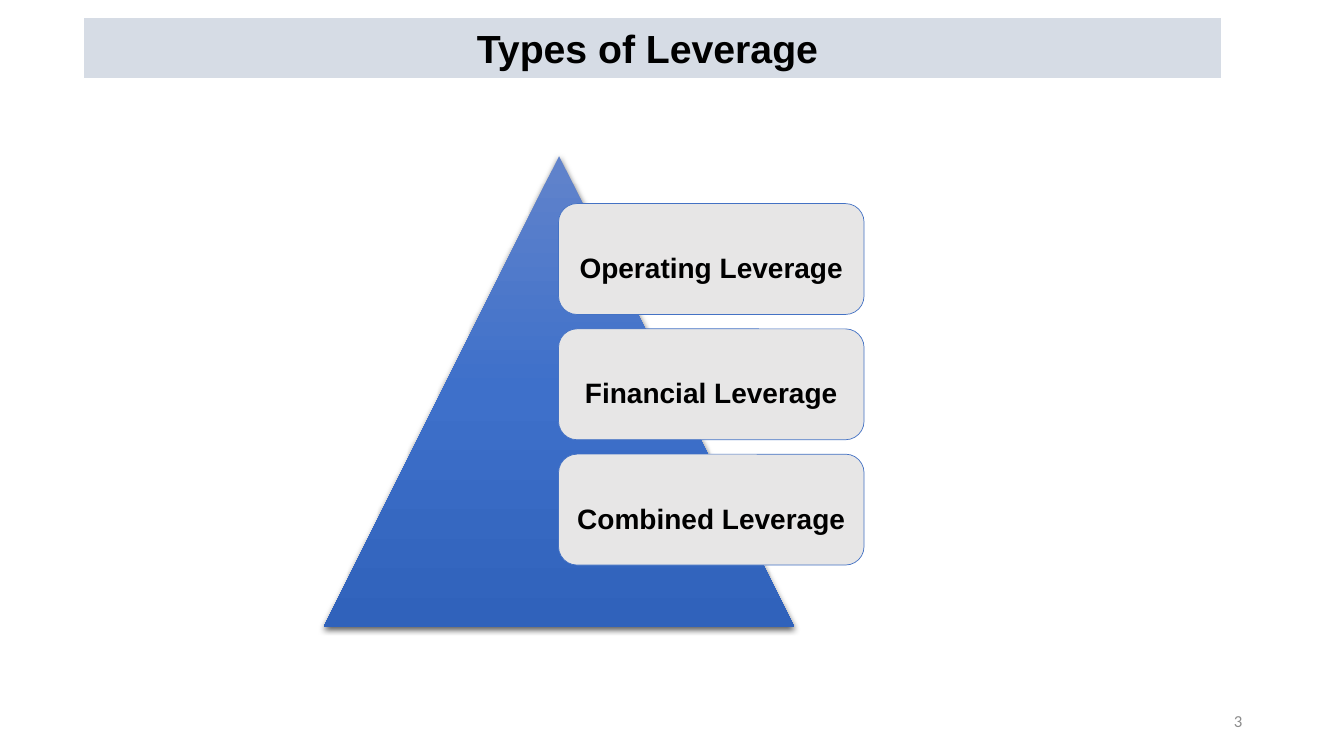
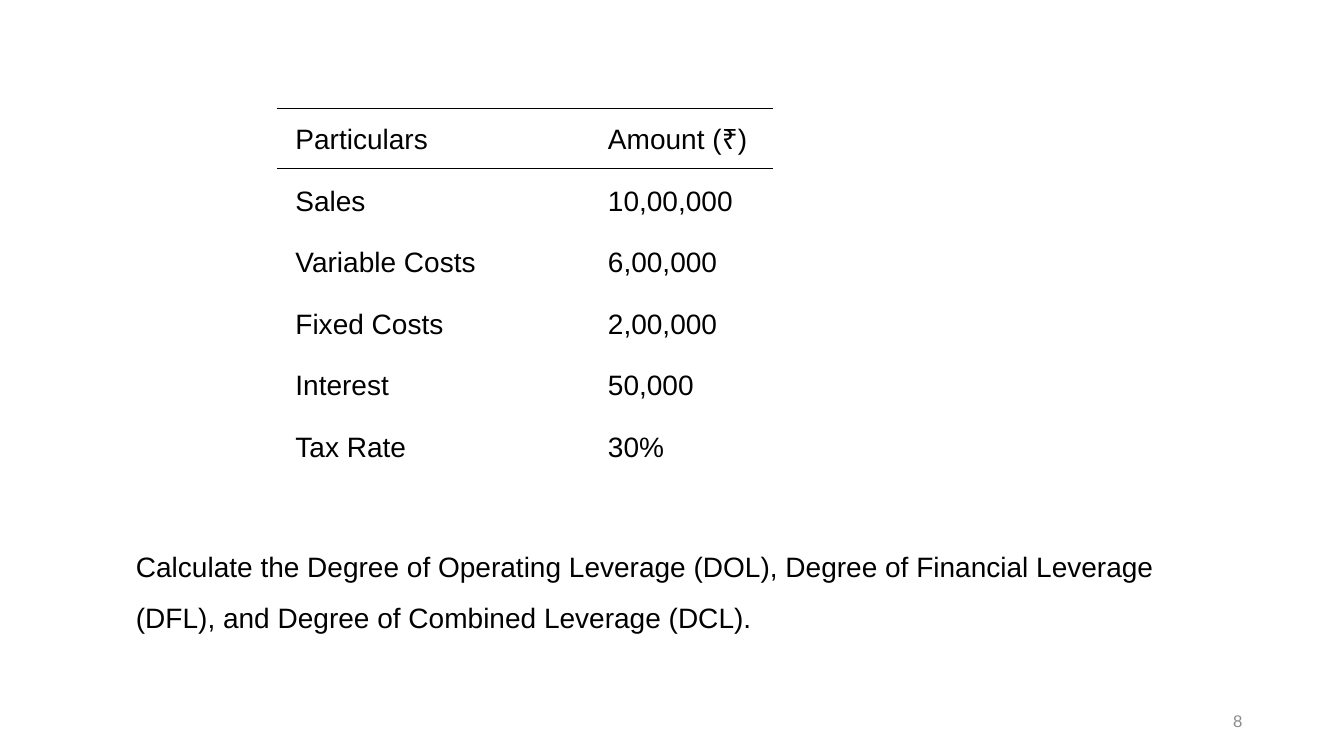
from lxml import etree
from pptx import Presentation
from pptx.dml.color import RGBColor
from pptx.enum import shapes, text
from pptx.oxml import parse_xml
from pptx.oxml.ns import nsdecls, qn
from pptx.util import Inches, Pt

BLACK, WHITE, GREY = "000000", "FFFFFF", "8C8C8C"
BAND, CARD, BLUE = "D6DCE5", "E7E6E6", "4472C4"
LEFT, MID, RIGHT = text.PP_ALIGN.LEFT, text.PP_ALIGN.CENTER, text.PP_ALIGN.RIGHT
MIDDLE = text.MSO_ANCHOR.MIDDLE
SHAPE = shapes.MSO_SHAPE


def rgb(code):
    return RGBColor.from_string(code)


def write(frame, words, size=20, color=BLACK, align=LEFT, spacing=None, bold=False, name="Arial"):
    frame.word_wrap = True
    par = frame.paragraphs[0]
    par.alignment, par.line_spacing = align, spacing
    run = par.add_run()
    run.text = words
    look = {"name": name, "size": Pt(size), "bold": bold}
    for key, value in look.items():
        setattr(run.font, key, value)
    run.font.color.rgb = rgb(color)


deck = Presentation()
deck.slide_width, deck.slide_height = Inches(13.33), Inches(7.5)

# Both slides carry a page number at the lower right
pages = []
for number, font in (("3", "Calibri"), ("8", "Arial")):
    page = deck.slides.add_slide(deck.slide_layouts[6])
    box = page.shapes.add_textbox(Inches(9.42), Inches(6.95), Inches(3), Inches(0.4))
    box.text_frame.vertical_anchor = MIDDLE
    write(box.text_frame, number, 12, GREY, RIGHT, name=font)
    pages.append(page)
types, task = pages

# Types of leverage: title band, pyramid and three cards
tri = types.shapes.add_shape(SHAPE.ISOSCELES_TRIANGLE, Inches(3.21), Inches(1.55), Inches(4.67), Inches(4.67))
tri.line.fill.background()
stops = "".join(
    f'<a:gs pos="{pos}000"><a:srgbClr val="{code}"/></a:gs>'
    for pos, code in ((0, "6183CB"), (50, "3E70CA"), (100, "3062BB"))
)
edge = tri.line._get_or_add_ln()
edge.addprevious(parse_xml(
    f'<a:gradFill {nsdecls("a")}><a:gsLst>{stops}</a:gsLst><a:lin ang="5400000" scaled="0"/></a:gradFill>'
))
edge.addnext(parse_xml(
    f'<a:effectLst {nsdecls("a")}><a:outerShdw blurRad="{Pt(4.5)}" dist="{Pt(1.5)}" dir="5400000"'
    ' algn="ctr" rotWithShape="0"><a:srgbClr val="000000"><a:alpha val="63000"/></a:srgbClr>'
    "</a:outerShdw></a:effectLst>"
))

panels = [("Types of Leverage ", SHAPE.RECTANGLE, (0.83, 0.17, 11.29, 0.61), BAND, WHITE, 1, 28, None)]
for i, kind in enumerate(("Operating", "Financial", "Combined")):
    place = (5.54, 2.02 + 1.243 * i, 3.03, 1.1)
    panels.append((f"{kind} Leverage", SHAPE.ROUNDED_RECTANGLE, place, CARD, BLUE, 0.5, 20, 1.5))

for words, form, place, fill, line, width, size, spacing in panels:
    panel = types.shapes.add_shape(form, *map(Inches, place))
    panel.shadow.inherit = False
    panel.fill.solid()
    panel.fill.fore_color.rgb = rgb(fill)
    panel.line.color.rgb = rgb(line)
    panel.line.width = Pt(width)
    panel.text_frame.vertical_anchor = MIDDLE
    panel.text_frame.margin_left = panel.text_frame.margin_right = Inches(0.08)
    write(panel.text_frame, words, size, align=MID, spacing=spacing, bold=True)

# Exercise: figures, rules above and below the header, question
rows = [
    ("Particulars", "Amount (₹)"),
    ("Sales", "10,00,000"),
    ("Variable Costs", "6,00,000"),
    ("Fixed Costs", "2,00,000"),
    ("Interest", "50,000"),
    ("Tax Rate", "30%"),
]
grid = task.shapes.add_table(len(rows), 2, Inches(2.83), Inches(1.08), Inches(6.42), Inches(3.67)).table
grid.first_row = grid.horz_banding = False
for col, width in zip(grid.columns, (3.1, 3.32)):
    col.width = Inches(width)
for r, row in enumerate(rows):
    for c, words in enumerate(row):
        cell = grid.cell(r, c)
        cell.fill.background()
        cell.vertical_anchor = MIDDLE
        write(cell.text_frame, words)

for y in (1.08, 1.67):
    rule = task.shapes.add_connector(shapes.MSO_CONNECTOR.STRAIGHT, Inches(2.75), Inches(y), Inches(7.67), Inches(y))
    rule.line.color.rgb = rgb(BLACK)
    rule.line.width = Pt(0.5)
    etree.SubElement(rule._element.spPr, qn("a:effectLst"))

ask = task.shapes.add_textbox(Inches(1.25), Inches(5.24), Inches(10.67), Inches(1.05))
write(
    ask.text_frame,
    "Calculate the Degree of Operating Leverage (DOL), Degree of Financial Leverage (DFL), "
    "and Degree of Combined Leverage (DCL).",
    spacing=1.5,
)

deck.save("out.pptx")
